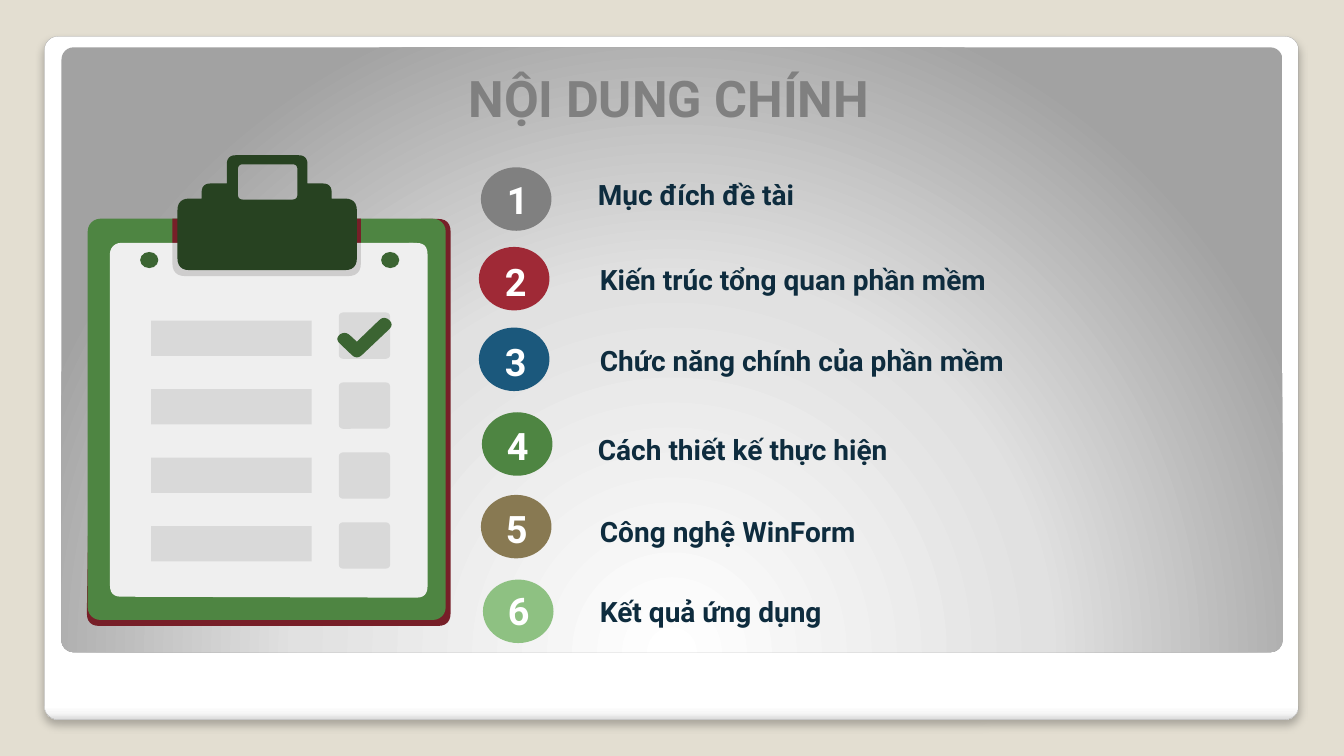
from dataclasses import dataclass
from math import hypot

from lxml import etree
from pptx import Presentation
from pptx.dml.color import RGBColor
from pptx.enum.shapes import MSO_SHAPE
from pptx.enum.text import MSO_ANCHOR, PP_ALIGN
from pptx.oxml import parse_xml
from pptx.oxml.ns import nsdecls, qn
from pptx.util import Inches, Pt

RECTANGLE = MSO_SHAPE.RECTANGLE
ROUNDED = MSO_SHAPE.ROUNDED_RECTANGLE
OVAL = MSO_SHAPE.OVAL
CENTER, JUSTIFY = PP_ALIGN.CENTER, PP_ALIGN.JUSTIFY
TOP, MIDDLE = MSO_ANCHOR.TOP, MSO_ANCHOR.MIDDLE
FONT = "Roboto"
COLORS = {
    "background": "E3DED1", "frame line": "A4A4A4", "white": "FFFFFF",
    "gray": "808080", "label": "0E2C3E", "red": "9F2936", "blue": "1B587C",
    "green": "4E8542", "tan": "887952", "light green": "8EC182",
    "dark red": "771F28", "paper": "EFEFEF", "clip shade": "CECDCD",
    "clip": "274221", "check": "3B6432", "entry": "D9D9D9",
}
FRAME_STOPS = [(0, "FFFFFF"), (98, "FFFFFF"), (99, "F7F7F7"), (100, "DADADA")]
PANEL_STOPS = [(0, "FFFFFF"), (55, "E1E1E1"), (100, "A2A2A2")]
AGENDA = [
    ("Mục đích đề tài", "gray", (2, 0), (11, 9), (118, 7)),
    ("Kiến trúc tổng quan phần mềm", "red", (0, 79), (9, 91), (120, 92)),
    ("Chức năng chính của phần mềm", "blue", (0, 159), (9, 170), (120, 172)),
    ("Cách thiết kế thực hiện", "green", (3, 243), (11, 253), (118, 260)),
    ("Công nghệ WinForm", "tan", (2, 325), (10, 336), (120, 342)),
    ("Kết quả ứng dụng", "light green", (4, 409), (12, 417), (120, 421)),
]
CLIP = [
    (90, 43, 12), (114, 43, 0), (114, 28, 9), (139, 28, 0), (139, 0, 9), (219, 0, 9),
    (219, 28, 0), (243, 28, 9), (243, 43, 0), (268, 43, 12), (268, 114, 12), (90, 114, 12),
]
CLIP_HOLE = [(150, 9, 5), (209, 9, 5), (209, 44, 5), (150, 44, 5)]
CHECK = [(246, 182, 7), (256, 174, 7), (268, 185, 0), (295, 159, 7), (305, 168, 7), (268, 203, 7)]


@dataclass
class Box:
    """A region divided into columns and rows."""
    left: int
    top: int
    width: int
    height: int
    columns: int
    rows: int

    def point(self, x, y):
        """Return the slide position of a grid point."""
        return (round(self.left + x * self.width / self.columns),
                round(self.top + y * self.height / self.rows))

    def area(self, x, y, width, height):
        """Return the slide position and size of a grid area."""
        left, top = self.point(x, y)
        right, bottom = self.point(x + width, y + height)
        return left, top, right - left, bottom - top

    def region(self, x, y, width, height):
        """Return a grid area as a box with the same cell size."""
        return Box(*self.area(x, y, width, height), width, height)


def paint(shape, color):
    """Give a shape a plain fill without line or shadow."""
    shape.shadow.inherit = False
    shape.fill.solid()
    shape.fill.fore_color.rgb = RGBColor.from_string(COLORS[color])
    shape.line.fill.background()


def add_block(shapes, box, kind, area, color, radius=None):
    """Add a preset shape on a grid area."""
    shape = shapes.add_shape(kind, *box.area(*area))
    paint(shape, color)
    if radius is not None:
        shape.adjustments[0] = radius
    return shape


def rounded(corners):
    """Return outline points with every corner rounded by its radius."""
    points = []
    for index, (x, y, radius) in enumerate(corners):
        ends = []
        for near_x, near_y, _ in (corners[index - 1], corners[(index + 1) % len(corners)]):
            share = radius / hypot(near_x - x, near_y - y)
            ends.append((x + (near_x - x) * share, y + (near_y - y) * share))
        (start_x, start_y), (end_x, end_y) = ends
        for step in (range(7) if radius else [0]):
            t = step / 6
            points.append(((1 - t) ** 2 * start_x + 2 * t * (1 - t) * x + t * t * end_x,
                           (1 - t) ** 2 * start_y + 2 * t * (1 - t) * y + t * t * end_y))
    return points


def add_outline(shapes, box, color, *contours):
    """Add a filled freeform made of rounded contours."""
    builder = None
    for contour in contours:
        points = [box.point(*point) for point in rounded(contour)]
        if builder is None:
            builder = shapes.build_freeform(*points[0])
        else:
            builder.move_to(*points[0])
        builder.add_line_segments(points[1:])
    paint(builder.convert_to_shape(), color)


def add_text(slide, area, text, size, color, alignment, anchor=TOP, spacing=None):
    """Add one bold line of text without margins."""
    frame = slide.shapes.add_textbox(*area).text_frame
    frame.word_wrap = True
    frame.margin_left = frame.margin_right = frame.margin_top = frame.margin_bottom = 0
    frame.vertical_anchor = anchor
    paragraph = frame.paragraphs[0]
    paragraph.text = text
    paragraph.alignment = alignment
    paragraph.line_spacing = spacing
    paragraph.font.name = FONT
    paragraph.font.size = Pt(size)
    paragraph.font.bold = True
    paragraph.font.color.rgb = RGBColor.from_string(COLORS[color])


def set_gradient(shape, stops, direction):
    """Replace the plain fill of a shape by a gradient."""
    marks = "".join(f'<a:gs pos="{position * 1000}"><a:srgbClr val="{color}"/></a:gs>'
                    for position, color in stops)
    gradient = parse_xml(f'<a:gradFill {nsdecls("a")} rotWithShape="1">'
                         f'<a:gsLst>{marks}</a:gsLst>{direction}</a:gradFill>')
    properties = shape._element.spPr
    properties.replace(properties.find(qn("a:solidFill")), gradient)


def draw_backdrop(slide, box):
    """Draw the background, the shadowed frame and the gradient panel."""
    slide.background.fill.solid()
    slide.background.fill.fore_color.rgb = RGBColor.from_string(COLORS["background"])
    frame = add_block(slide.shapes, box, ROUNDED, (44, 36, 1244, 678), "white", 0.02)
    set_gradient(frame, FRAME_STOPS, '<a:lin ang="5400000" scaled="0"/>')
    frame.line.color.rgb = RGBColor.from_string(COLORS["frame line"])
    frame.line.width = Pt(0.16)
    effects = frame._element.spPr.find(qn("a:effectLst"))
    shadow = etree.SubElement(effects, qn("a:outerShdw"), blurRad=str(Pt(6)),
                              dist=str(Pt(4)), dir="5400000", algn="tl", rotWithShape="0")
    color = etree.SubElement(shadow, qn("a:srgbClr"), val="000000")
    etree.SubElement(color, qn("a:alpha"), val="25000")
    panel = add_block(slide.shapes, box, ROUNDED, (61, 47, 1211, 600), "white", 0.02)
    set_gradient(panel, PANEL_STOPS, '<a:path path="circle"><a:fillToRect l="50000" '
                 't="175000" r="50000" b="-75000"/></a:path>')


def draw_clipboard(slide, box):
    """Draw the clipboard with its clip, pins and checklist."""
    shapes = slide.shapes.add_group_shape().shapes
    add_outline(shapes, box, "dark red",
                [(6, 66, 13), (361, 63, 13), (361, 467, 13), (0, 467, 13)])
    add_block(shapes, box, ROUNDED, (1, 63, 355, 398), "green", 0.035)
    add_outline(shapes, box, "paper",
                [(26, 89, 11), (338, 87, 11), (338, 439, 11), (23, 438, 11)])
    add_block(shapes, box, ROUNDED, (23, 87, 311, 350), "paper", 0.035)
    add_block(shapes, box, RECTANGLE, (85, 63, 187, 24), "dark red")
    add_outline(shapes, box, "clip shade",
                [(85, 87, 0), (272, 87, 0), (272, 120, 13), (85, 120, 13)])
    add_outline(shapes, box, "clip", CLIP, CLIP_HOLE)
    for pin_left in (53, 292):
        add_block(shapes, box, OVAL, (pin_left, 96, 18, 16), "check")
    for row in range(4):
        add_block(shapes, box, ROUNDED, (250, 156 + 69.4 * row, 51, 46), "entry", 0.09)
        add_block(shapes, box, RECTANGLE, (64, 164 + 68 * row, 159, 35), "entry")
    add_outline(shapes, box, "check", CHECK)


def draw_agenda(slide, box):
    """Draw the numbered circles with their labels."""
    for number, (label, color, circle, digit, text) in enumerate(AGENDA, 1):
        add_block(slide.shapes, box, OVAL, (*circle, 70, 63), color)
        add_text(slide, box.area(*digit, 55, 38), str(number), 27, "white", CENTER)
        add_text(slide, box.area(*text, 703, 33), label, 20, "label", JUSTIFY, spacing=Pt(26))


def main():
    """Build and save the contents slide."""
    presentation = Presentation()
    presentation.slide_width, presentation.slide_height = Inches(13.33), Inches(7.5)
    slide = presentation.slides.add_slide(presentation.slide_layouts[6])
    page = Box(0, 0, presentation.slide_width, presentation.slide_height, 1333, 750)
    draw_backdrop(slide, page)
    add_text(slide, page.area(171, 66, 985, 61), "NỘI DUNG CHÍNH", 36, "gray", CENTER, MIDDLE)
    draw_clipboard(slide, page.region(86, 154, 361, 467))
    draw_agenda(slide, page.region(475, 166, 823, 472))
    presentation.save("out.pptx")


if __name__ == "__main__":
    main()
